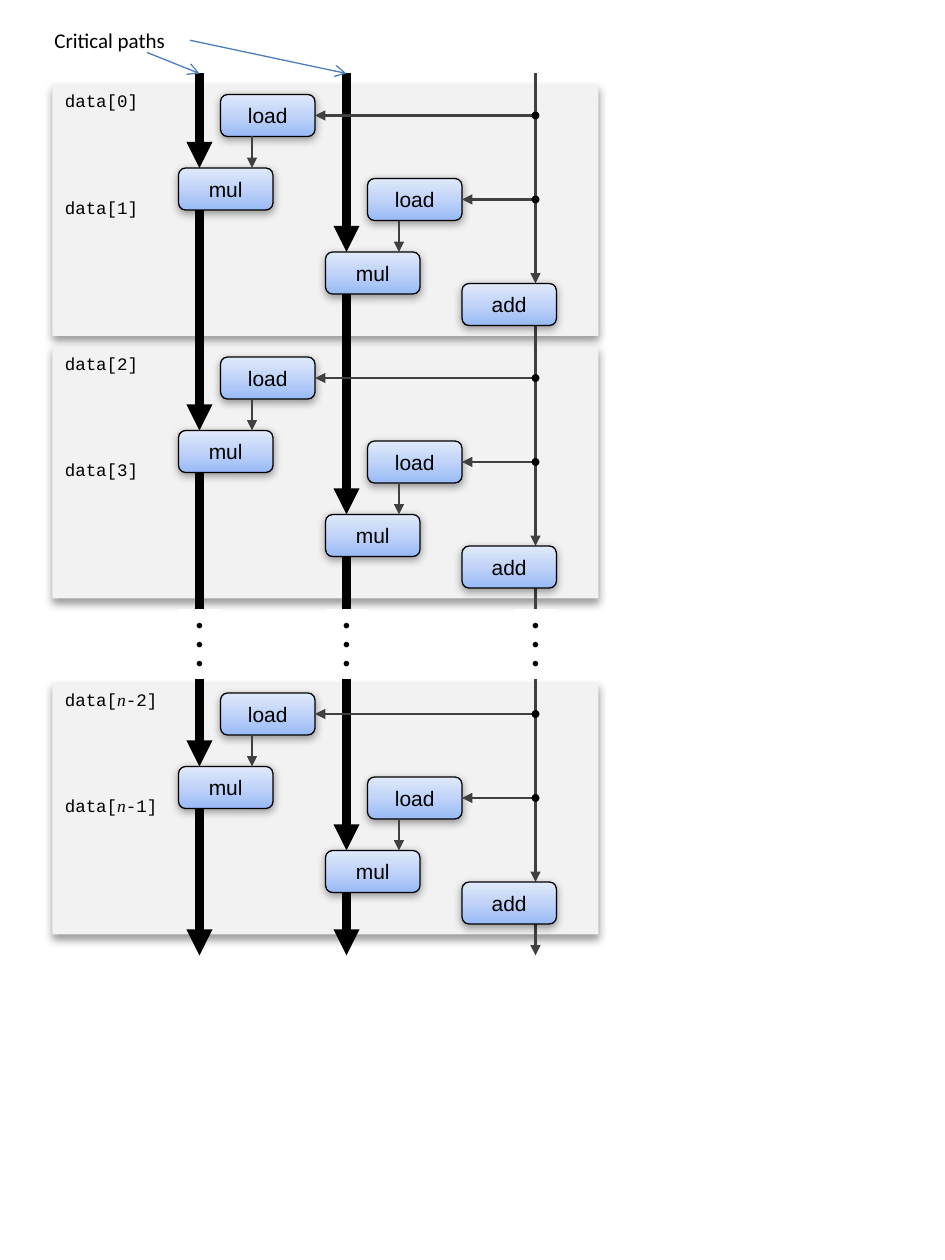
"""Draw the data flow of a loop with two independent multiplication chains."""
from copy import deepcopy
from dataclasses import dataclass

from lxml import etree
from pptx import Presentation
from pptx import util as u
from pptx.dml import color
from pptx.enum import shapes, text
from pptx.oxml import ns


@dataclass(frozen=True)
class Theme:
    """Colours, fonts and type sizes."""
    ink: str = "000000"
    panel: str = "F2F2F2"
    paper: str = "FFFFFF"
    flow: str = "404040"
    pointer: str = "4B7EBC"
    gradient: tuple = ((0, "98BAF6"), (0.5, "C0D3F8"), (1, "E0E9FB"))
    code_font: str = "Courier New"
    variable_font: str = "Times New Roman"
    box_font: str = "Arial"
    label_font: str = "Calibri"
    code_size: float = 10
    box_size: float = 12
    dots_size: float = 9


THEME = Theme()
BLOCKS = ((48, "data[0]", "data[1]"), (198, "data[2]", "data[3]"),
          (390, "data[n-2]", "data[n-1]"))
PAIRS = ((126, 54), (210, 102))
CHAINS = ((114, 48, 5, THEME.ink), (198, 96, 5, THEME.ink), (306, 114, 1.5, THEME.flow))
FLOW_TOP, FLOW_BOTTOM = 42, 546
BOX_WIDTH, BOX_HEIGHT = 54, 24
BUS = 306


def rgb(value):
    """Turn a hex string into a colour."""
    return color.RGBColor.from_string(value)


def apply(target, values):
    """Set attributes from a dict of format values."""
    for name, value in values.items():
        setattr(target, name, value)


def add_span(para, wording, font, size, italic=False):
    """Add one formatted run to a paragraph."""
    span = para.add_run()
    span.text = wording
    apply(span.font, {"name": font, "size": u.Pt(size), "italic": italic})
    span.font.color.rgb = rgb(THEME.ink)


def add_shadow(shape, opacity, distance):
    """Give a shape a soft shadow that falls straight down."""
    effects = shape.element.spPr.find(ns.qn("a:effectLst"))
    shadow = etree.SubElement(effects, ns.qn("a:outerShdw"), blurRad=str(u.Pt(5)),
                              dist=str(u.Pt(distance)), dir="5400000", rotWithShape="0")
    tint = etree.SubElement(shadow, ns.qn("a:srgbClr"), val=THEME.ink)
    etree.SubElement(tint, ns.qn("a:alpha"), val=str(opacity * 1000))


def add_shape(page, kind, left, top, width, height, fill):
    """Add a plain filled shape without line or shadow."""
    shape = page.shapes.add_shape(kind, *map(u.Pt, (left, top, width, height)))
    shape.shadow.inherit = False
    shape.fill.solid()
    shape.fill.fore_color.rgb = rgb(fill)
    shape.line.fill.background()
    return shape


def add_panel(page, top, labels):
    """Add the grey panel of one iteration with its two data labels."""
    panel = add_shape(page, shapes.MSO_SHAPE.RECTANGLE, 30, top, 312, 144, THEME.panel)
    add_shadow(panel, 40, 3)
    frame = panel.text_frame
    frame.vertical_anchor = text.MSO_ANCHOR.TOP
    for index, label in enumerate(labels):
        para = frame.add_paragraph() if index else frame.paragraphs[0]
        apply(para, {"alignment": text.PP_ALIGN.LEFT, "space_before": u.Pt(48.75 * index)})
        before, variable, after = label.partition("n")
        add_span(para, before, THEME.code_font, THEME.code_size)
        if variable:
            add_span(para, variable, THEME.variable_font, THEME.code_size, italic=True)
            add_span(para, after, THEME.code_font, THEME.code_size)


def add_operation(page, wording, left, top):
    """Add a rounded operation box with a gradient fill."""
    box = add_shape(page, shapes.MSO_SHAPE.ROUNDED_RECTANGLE, left, top,
                    BOX_WIDTH, BOX_HEIGHT, THEME.paper)
    box.fill.gradient()
    box.fill.gradient_angle = 90
    stops = box.element.spPr.find(".//" + ns.qn("a:gsLst"))
    stops.insert(1, deepcopy(stops[0]))
    for stop, (position, tint) in zip(box.fill.gradient_stops, THEME.gradient):
        stop.color.rgb = rgb(tint)
        stop.position = position
    box.line.color.rgb = rgb(THEME.ink)
    box.line.width = u.Pt(0.75)
    add_shadow(box, 38, 1.6)
    box.text_frame.vertical_anchor = text.MSO_ANCHOR.MIDDLE
    para = box.text_frame.paragraphs[0]
    para.alignment = text.PP_ALIGN.CENTER
    add_span(para, wording, THEME.box_font, THEME.box_size)
    return box


def add_arrow(page, start, end, tint, width, head="triangle"):
    """Add a straight arrow between two points."""
    arrow = page.shapes.add_connector(shapes.MSO_CONNECTOR.STRAIGHT,
                                      *map(u.Pt, (*start, *end)))
    arrow.line.color.rgb = rgb(tint)
    arrow.line.width = u.Pt(width)
    properties = arrow.element.spPr
    etree.SubElement(properties.find(ns.qn("a:ln")), ns.qn("a:tailEnd"), type=head)
    etree.SubElement(properties, ns.qn("a:effectLst"))
    return arrow


def add_chain(page, x, offset, width, tint):
    """Add the arrows that run down one chain through all iterations."""
    tops = [top + offset for top, *_ in BLOCKS]
    starts = [FLOW_TOP] + [top + BOX_HEIGHT for top in tops]
    for start, end in zip(starts, tops + [FLOW_BOTTOM]):
        add_arrow(page, (x, start), (x, end), tint, width)


def add_iteration(page, top):
    """Add the operations of one iteration and the arrows inside it."""
    for left, load_top in PAIRS:
        load_y, mul_y = top + load_top - 48, top + load_top - 6
        load = add_operation(page, "load", left, load_y)
        add_operation(page, "mul", left - 24, mul_y)
        middle = load_y + BOX_HEIGHT / 2
        fetch = add_arrow(page, (BUS, middle), (left + BOX_WIDTH, middle), THEME.flow, 1.5)
        fetch.end_connect(load, 3)
        add_arrow(page, (left + 18, load_y + BOX_HEIGHT), (left + 18, mul_y), THEME.flow, 1.5)
        add_shape(page, shapes.MSO_SHAPE.OVAL, BUS - 2.25, middle - 2.25, 4.5, 4.5, THEME.ink)
    add_operation(page, "add", 264, top + 114)


def add_ellipsis(page, x):
    """Break a chain with three stacked dots."""
    gap = add_shape(page, shapes.MSO_SHAPE.RECTANGLE, x - 12, 348, 24, 40, THEME.paper)
    frame = gap.text_frame
    frame.vertical_anchor = text.MSO_ANCHOR.TOP
    for index in range(3):
        para = frame.add_paragraph() if index else frame.paragraphs[0]
        para.alignment = text.PP_ALIGN.CENTER
        add_span(para, "•", THEME.label_font, THEME.dots_size)


def add_caption(page):
    """Add the caption and its pointers to the two critical paths."""
    caption = page.shapes.add_textbox(*map(u.Pt, (24, 12, 84, 22)))
    caption.text_frame.word_wrap = False
    add_span(caption.text_frame.paragraphs[0], "Critical paths",
             THEME.label_font, THEME.box_size)
    for start, end in (((84, 30), (114, 42)), ((108.5, 23), (198, 42))):
        add_arrow(page, start, end, THEME.pointer, 0.75, "arrow")


def main():
    """Build the slide and save it."""
    deck = Presentation()
    apply(deck, {"slide_width": u.Pt(540), "slide_height": u.Pt(720)})
    page = deck.slides.add_slide(deck.slide_layouts[6])
    for top, *labels in BLOCKS:
        add_panel(page, top, labels)
    for chain in CHAINS:
        add_chain(page, *chain)
    for top, *_ in BLOCKS:
        add_iteration(page, top)
    for x, *_ in CHAINS:
        add_ellipsis(page, x)
    add_caption(page)
    deck.save("out.pptx")


if __name__ == "__main__":
    main()
